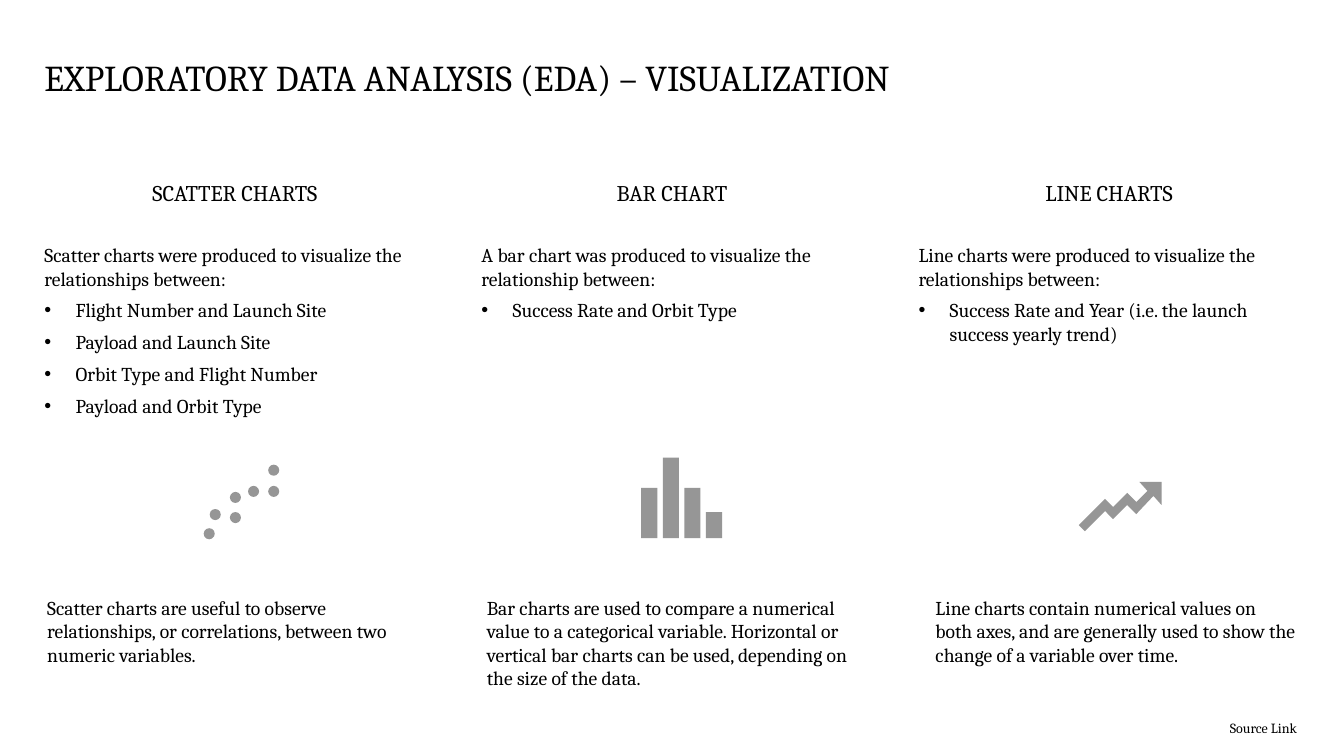
from lxml.etree import SubElement
from pptx import Presentation
from pptx.dml.color import RGBColor
from pptx.enum.shapes import MSO_SHAPE
from pptx.enum.text import MSO_ANCHOR, PP_ALIGN
from pptx.oxml.ns import qn
from pptx.util import Inches, Pt

BLACK, GRAY = "000000", "969696"

presentation = Presentation()
presentation.slide_width = Inches(13.33)
presentation.slide_height = Inches(7.5)
slide = presentation.slides.add_slide(presentation.slide_layouts[6])


def add_text(box, lines, size, anchor=MSO_ANCHOR.TOP, align=PP_ALIGN.LEFT,
             inset=(0, 0), after=0, spacing=None, wrap=True):
    """Add a text box; every line after the first is a bullet."""
    frame = slide.shapes.add_textbox(*map(Inches, box)).text_frame
    frame.word_wrap = wrap
    frame.vertical_anchor = anchor
    frame.margin_left = frame.margin_right = Inches(inset[0])
    frame.margin_top = frame.margin_bottom = Inches(inset[1])
    for index, line in enumerate(lines):
        paragraph = frame.add_paragraph() if index else frame.paragraphs[0]
        if index:
            properties = paragraph._p.get_or_add_pPr()
            properties.set("marL", str(Inches(0.31)))
            properties.set("indent", str(-Inches(0.31)))
            SubElement(properties, qn("a:buFont"), typeface="Arial")
            SubElement(properties, qn("a:buChar"), char="•")
        paragraph.alignment = align
        paragraph.space_after = Pt(after)
        if spacing:
            paragraph.line_spacing = spacing
        run = paragraph.add_run()
        run.text = line
        run.font.name = "Cambria"
        run.font.size = Pt(size)
        run.font.color.rgb = RGBColor.from_string(BLACK)


def paint(shape, color):
    shape.shadow.inherit = False
    shape.fill.solid()
    shape.fill.fore_color.rgb = RGBColor.from_string(color)
    shape.line.fill.background()


# Title
add_text((0.44, 0.21, 11.97, 0.78),
         ["EXPLORATORY DATA ANALYSIS (EDA) – VISUALIZATION"],
         26, anchor=MSO_ANCHOR.BOTTOM, spacing=0.9)

# Three columns: heading, bullets, and a note with its own left edge
columns = [
    ("SCATTER CHARTS",
     ["Scatter charts were produced to visualize the relationships between:",
      "Flight Number and Launch Site", "Payload and Launch Site",
      "Orbit Type and Flight Number", "Payload and Orbit Type"],
     0.37, 0.81,
     "Scatter charts are useful to observe relationships, or correlations, "
     "between two numeric variables."),
    ("BAR CHART",
     ["A bar chart was produced to visualize the relationship between:",
      "Success Rate and Orbit Type"],
     4.73, 1.04,
     "Bar charts are used to compare a numerical value to a categorical "
     "variable. Horizontal or vertical bar charts can be used, depending on "
     "the size of the data."),
    ("LINE CHARTS",
     ["Line charts were produced to visualize the relationships between:",
      "Success Rate and Year (i.e. the launch success yearly trend)"],
     9.18, 0.81,
     "Line charts contain numerical values on both axes, and are generally "
     "used to show the change of a variable over time."),
]
column_width = 3.78
for index, (heading, body, note_left, note_height, note) in enumerate(columns):
    left = 0.44 + index * 4.335
    add_text((left, 1.45, column_width, 0.92), [heading], 16,
             anchor=MSO_ANCHOR.MIDDLE, align=PP_ALIGN.CENTER, after=6)
    add_text((left, 2.41, column_width, 4.46), body, 14, after=6)
    add_text((note_left, 5.86, column_width, note_height), [note], 14,
             inset=(0.1, 0.05))

# Scatter icon
dot_size = 0.11
for left, top in [(2.02, 5.24), (2.08, 5.05), (2.28, 5.08), (2.28, 4.88),
                  (2.46, 4.82), (2.66, 4.82), (2.66, 4.61)]:
    dot = slide.shapes.add_shape(MSO_SHAPE.OVAL, Inches(left), Inches(top),
                                 Inches(dot_size), Inches(dot_size))
    paint(dot, GRAY)

# Bar icon
baseline = 5.34
for index, height in enumerate([0.5, 0.8, 0.5, 0.26]):
    bar = slide.shapes.add_shape(
        MSO_SHAPE.RECTANGLE, Inches(6.36 + index * 0.214),
        Inches(baseline - height), Inches(0.16), Inches(height))
    paint(bar, GRAY)

# Rising arrow icon
arrow_points = [(11.3, 4.78), (11.38, 4.87), (11.27, 4.98), (11.18, 4.89),
                (11.04, 5.03), (10.96, 4.95), (10.7, 5.21), (10.76, 5.27),
                (10.96, 5.07), (11.04, 5.15), (11.18, 5.01), (11.27, 5.1),
                (11.44, 4.92), (11.52, 5.01), (11.52, 4.78)]
points = [(Inches(x), Inches(y)) for x, y in arrow_points]
builder = slide.shapes.build_freeform(*points[0])
builder.add_line_segments(points[1:], close=True)
paint(builder.convert_to_shape(), GRAY)

# Link label
add_text((12.1, 7.09, 0.98, 0.27), ["Source Link"], 10,
         inset=(0.1, 0.05), wrap=False)

presentation.save("out.pptx")
